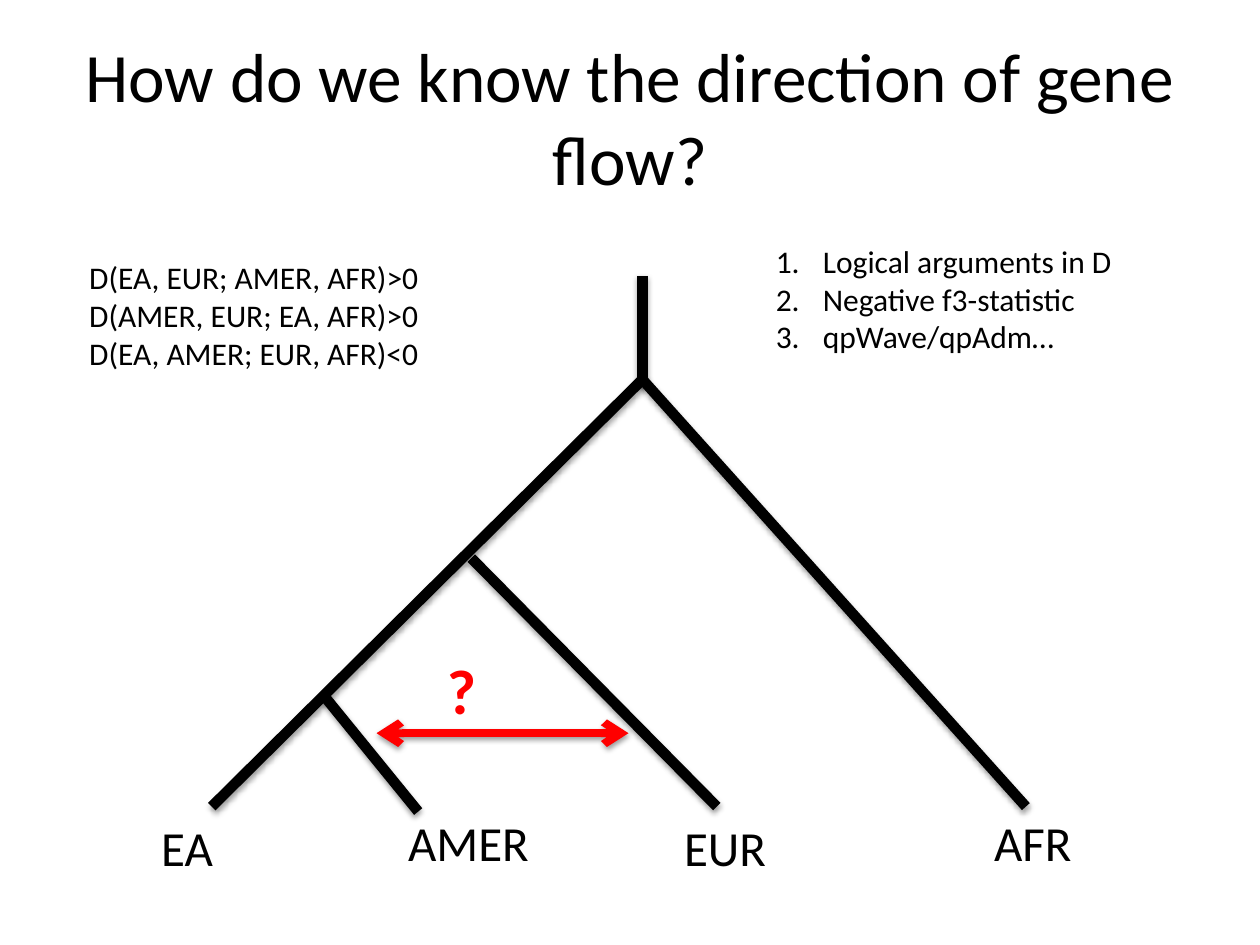
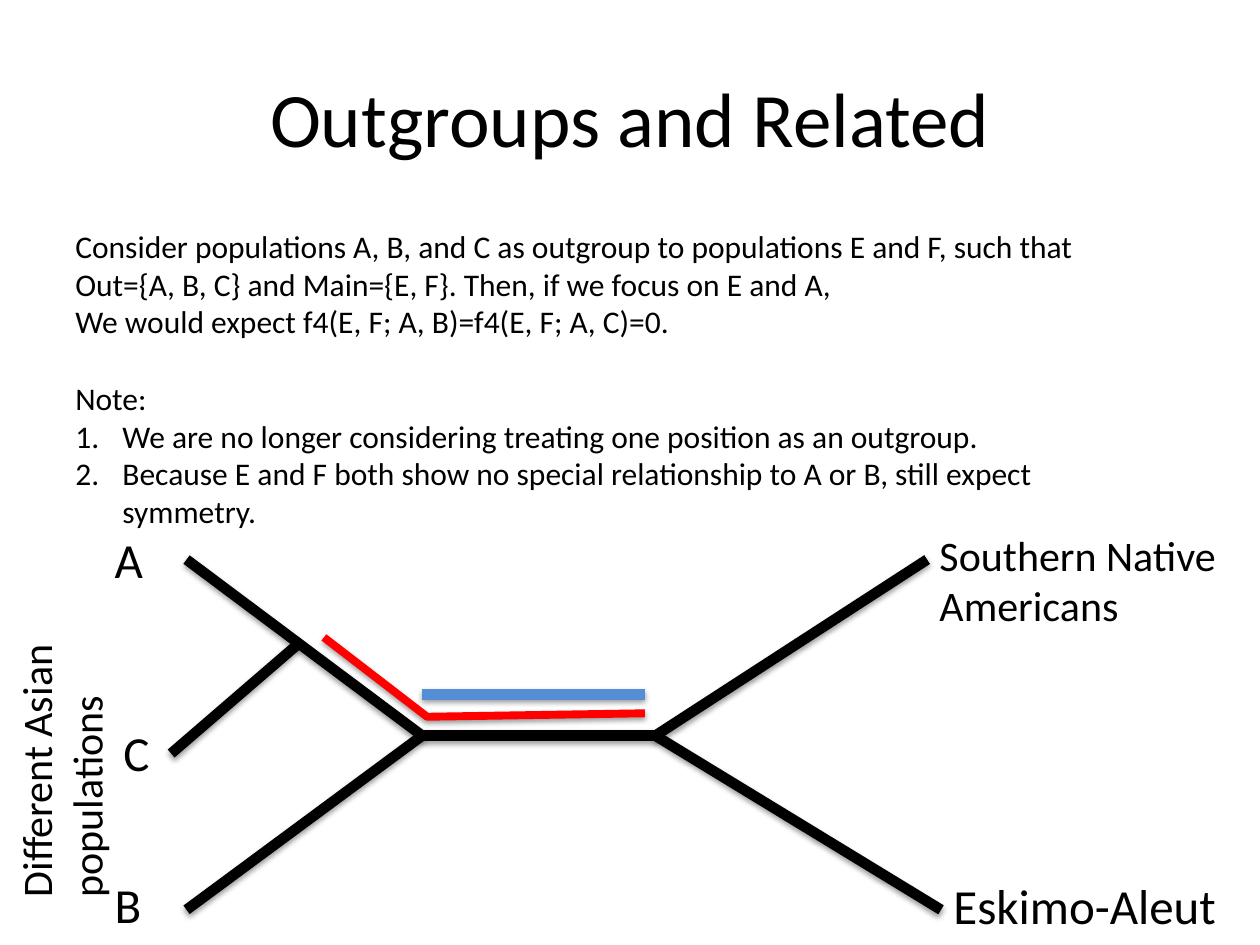
from dataclasses import dataclass
from typing import Optional

from lxml.etree import SubElement
from pptx import Presentation
from pptx.dml.color import RGBColor
from pptx.enum.shapes import MSO_CONNECTOR
from pptx.enum.text import MSO_ANCHOR, MSO_AUTO_SIZE, PP_ALIGN
from pptx.oxml.ns import qn
from pptx.util import Cm, Pt

BLACK, RED, BLUE = "000000", "FF0000", "558ED5"
FONT = "Calibri"
TITLE_BOX = (1.27, 0.76, 22.86, 3.18)
TITLE_ONLY_LAYOUT = 5
LIST_INDENT = 0.95
BODY_SIZE, LABEL_SIZE = 18, 28
LABEL_HEIGHT, TWO_LINE_HEIGHT = 1.45, 2.31

Point = tuple[float, float]
Box = tuple[float, float, float, float]


@dataclass(frozen=True)
class Branch:
    """A straight line between two points in centimetres."""
    start: Point
    end: Point
    color: str = BLACK
    width: float = 6
    arrows: bool = False


@dataclass(frozen=True)
class Line:
    """One paragraph of a text box."""
    text: str
    numbered: bool = False
    space_before: float = 0


@dataclass(frozen=True)
class Text:
    """A text box with its place in centimetres."""
    box: Box
    lines: tuple[Line, ...]
    size: float = LABEL_SIZE
    color: str = BLACK
    bold: Optional[bool] = None
    rotation: float = 0


def label(text: str, left: float, top: float, width: float = 2.54) -> Text:
    """Describe a one-line population label."""
    return Text((left, top, width, LABEL_HEIGHT), (Line(text),))


def rgb(color: str) -> RGBColor:
    """Turn a hex string into a colour."""
    return RGBColor.from_string(color)


def set_attributes(target, values: dict) -> None:
    """Set every attribute that the dict names."""
    for name, value in values.items():
        setattr(target, name, value)


def format_font(font, size: float, color: str, bold: Optional[bool] = None) -> None:
    """Give a font its face, size, weight and colour."""
    set_attributes(font, {"name": FONT, "size": Pt(size), "bold": bold})
    font.color.rgb = rgb(color)


def add_numbering(paragraph) -> None:
    """Number a paragraph with a hanging indent."""
    properties = paragraph._p.get_or_add_pPr()
    properties.set("marL", str(Cm(LIST_INDENT)))
    properties.set("indent", str(-Cm(LIST_INDENT)))
    SubElement(properties, qn("a:buFont"), typeface="+mj-lt")
    SubElement(properties, qn("a:buAutoNum"), type="arabicPeriod")


def add_shadow(shape) -> None:
    """Put a soft shadow just below a shape."""
    effects = SubElement(shape.element.spPr, qn("a:effectLst"))
    shadow = SubElement(effects, qn("a:outerShdw"), blurRad="40000",
                        dist="20000", dir="5400000", rotWithShape="0")
    shade = SubElement(shadow, qn("a:srgbClr"), val=BLACK)
    SubElement(shade, qn("a:alpha"), val="38000")


def format_stroke(shape, color: str, width: float) -> None:
    """Give a shape its line and shadow."""
    shape.line.color.rgb = rgb(color)
    shape.line.width = Pt(width)
    add_shadow(shape)


def add_title_slide(presentation, title: str, size: float):
    """Add a slide with a centred title."""
    slide = presentation.slides.add_slide(presentation.slide_layouts[TITLE_ONLY_LAYOUT])
    shape = slide.shapes.title
    left, top, width, height = map(Cm, TITLE_BOX)
    set_attributes(shape, {"left": left, "top": top, "width": width, "height": height})
    frame = shape.text_frame
    frame.text = title
    set_attributes(frame, {"word_wrap": True, "auto_size": MSO_AUTO_SIZE.NONE,
                           "vertical_anchor": MSO_ANCHOR.MIDDLE})
    paragraph = frame.paragraphs[0]
    paragraph.alignment = PP_ALIGN.CENTER
    format_font(paragraph.runs[0].font, size, BLACK)
    return slide


def add_text(slide, text: Text) -> None:
    """Draw a text box."""
    shape = slide.shapes.add_textbox(*map(Cm, text.box))
    shape.rotation = text.rotation
    frame = shape.text_frame
    set_attributes(frame, {"word_wrap": True, "auto_size": MSO_AUTO_SIZE.SHAPE_TO_FIT_TEXT})
    for index, line in enumerate(text.lines):
        paragraph = frame.add_paragraph() if index else frame.paragraphs[0]
        run = paragraph.add_run()
        run.text = line.text
        format_font(run.font, text.size, text.color, text.bold)
        if line.space_before:
            paragraph.space_before = Pt(line.space_before)
        if line.numbered:
            add_numbering(paragraph)


def add_branch(slide, branch: Branch) -> None:
    """Draw a branch, with arrowheads at both ends if asked."""
    connector = slide.shapes.add_connector(
        MSO_CONNECTOR.STRAIGHT, *map(Cm, branch.start + branch.end))
    format_stroke(connector, branch.color, branch.width)
    if branch.arrows:
        stroke = connector.element.spPr.find(qn("a:ln"))
        for end in ("a:headEnd", "a:tailEnd"):
            SubElement(stroke, qn(end), type="arrow")


def add_route(slide, points: list[Point], color: str, width: float) -> None:
    """Draw an open bent line through the points."""
    start, *others = [(Cm(x), Cm(y)) for x, y in points]
    builder = slide.shapes.build_freeform(*start)
    builder.add_line_segments(others, close=False)
    shape = builder.convert_to_shape()
    shape.fill.background()
    format_stroke(shape, color, width)


def add_all(slide, branches: list[Branch], texts: list[Text]) -> None:
    """Draw the branches, then the texts."""
    for branch in branches:
        add_branch(slide, branch)
    for text in texts:
        add_text(slide, text)


def build_gene_flow(presentation) -> None:
    """Build the slide with the rooted tree."""
    slide = add_title_slide(presentation, "How do we know the direction of gene flow?", 39.6)
    root = (12.95, 7.65)
    branches = [
        Branch((12.95, 5.56), (12.95, 7.75)),
        Branch(root, (4.27, 16.26)),
        Branch(root, (20.68, 16.26)),
        Branch((9.5, 11.25), (14.45, 16.26)),
        Branch((6.55, 14.05), (8.43, 16.36)),
        Branch((7.59, 14.78), (12.67, 14.78), RED, 4.5, arrows=True),
    ]
    statistics = ("D(EA, EUR; AMER, AFR)>0", "D(AMER, EUR; EA, AFR)>0",
                  "D(EA, AMER; EUR, AFR)<0")
    methods = ("Logical arguments in D", "Negative f3-statistic", "qpWave/qpAdm…")
    texts = [
        label("EA", 3, 16.36),
        label("EUR", 13.54, 16.36),
        label("AMER", 7.98, 16.26, 3.05),
        label("AFR", 19.79, 16.26, 3.05),
        Text((8.76, 13, 1.68, 1.8), (Line("?"),), 36, RED, True),
        Text((1.55, 5.08, 7.95, 2.57), tuple(map(Line, statistics)), BODY_SIZE),
        Text((15.39, 4.75, 8.46, 2.57),
             tuple(Line(method, numbered=True) for method in methods), BODY_SIZE),
    ]
    add_all(slide, branches, texts)


def build_outgroups(presentation) -> None:
    """Build the slide with the unrooted tree."""
    slide = add_title_slide(presentation, "Outgroups and Related", 44)
    left_node, right_node = (8.51, 14.83), (13.21, 14.83)
    branches = [
        Branch(left_node, right_node),
        Branch(left_node, (3.76, 18.34)),
        Branch(right_node, (18.97, 18.34)),
        Branch(left_node, (3.76, 11.28)),
        Branch((18.69, 11.28), right_node),
        Branch((5.99, 13), (3.45, 15.19)),
    ]
    explanation = (
        Line("Consider populations A, B, and C as outgroup to populations E and F, such that "
             "Out={A, B, C} and Main={E, F}. Then, if we focus on E and A,"),
        Line("We would expect f4(E, F; A, B)=f4(E, F; A, C)=0."),
        Line("Note:", space_before=22),
        Line("We are no longer considering treating one position as an outgroup.", numbered=True),
        Line("Because E and F both show no special relationship to A or B, "
             "still expect symmetry.", numbered=True),
    )
    texts = [
        Text((1.27, 4.45, 21.34, 6.4), explanation, BODY_SIZE),
        label("A", 2.06, 10.54),
        label("B", 2.06, 17.5),
        label("C", 2.24, 14.45, 1.52),
        label("Eskimo-Aleut", 18.97, 17.53, 6.43),
        Text((18.69, 10.54, 6.71, TWO_LINE_HEIGHT), (Line("Southern Native Americans"),), 24),
        Text((-1.98, 13.97, 6.43, TWO_LINE_HEIGHT),
             (Line("Different Asian populations"),), 24, rotation=270),
    ]
    add_all(slide, branches, texts)
    add_route(slide, [(13, 14.38), (8.61, 14.45), (6.53, 12.85)], RED, 4.5)
    add_branch(slide, Branch((8.51, 14), (13, 14), BLUE))


def main() -> None:
    """Build and save the presentation."""
    presentation = Presentation()
    set_attributes(presentation, {"slide_width": Cm(25.4), "slide_height": Cm(19.05)})
    build_gene_flow(presentation)
    build_outgroups(presentation)
    presentation.save("out.pptx")


main()
